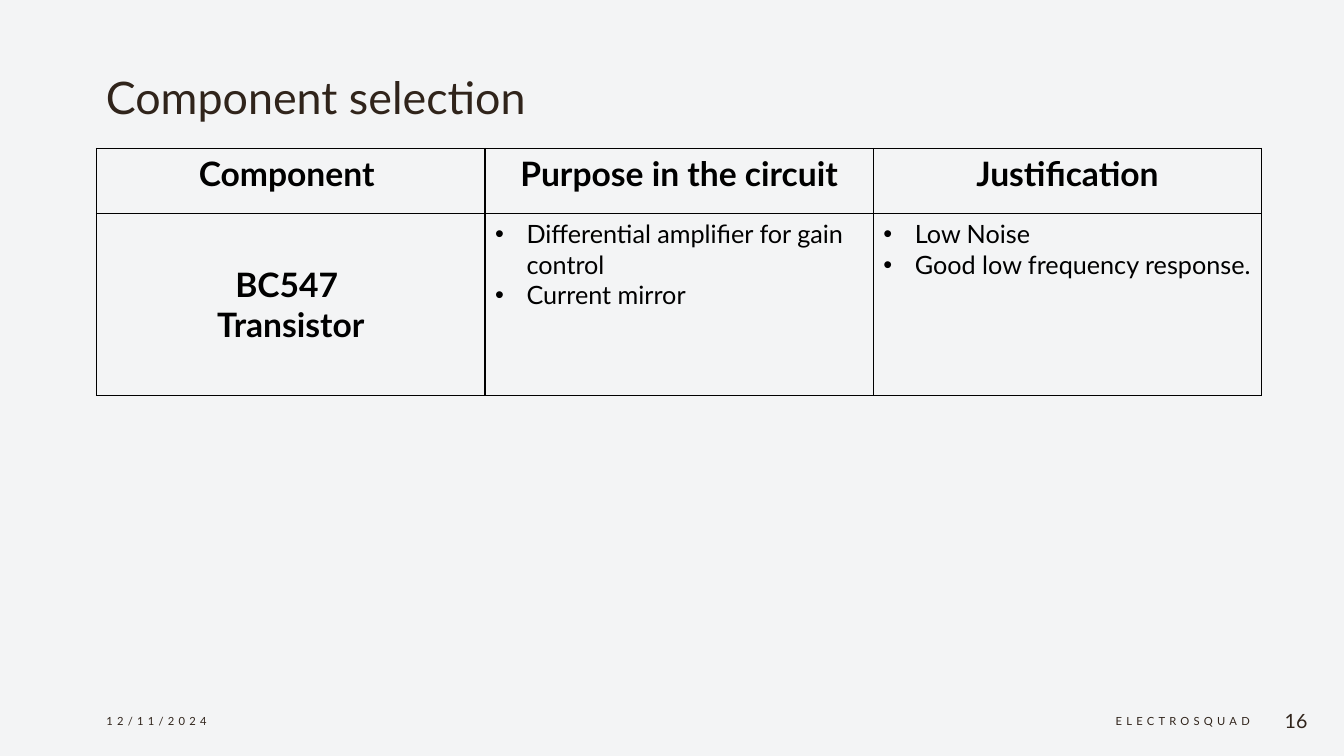
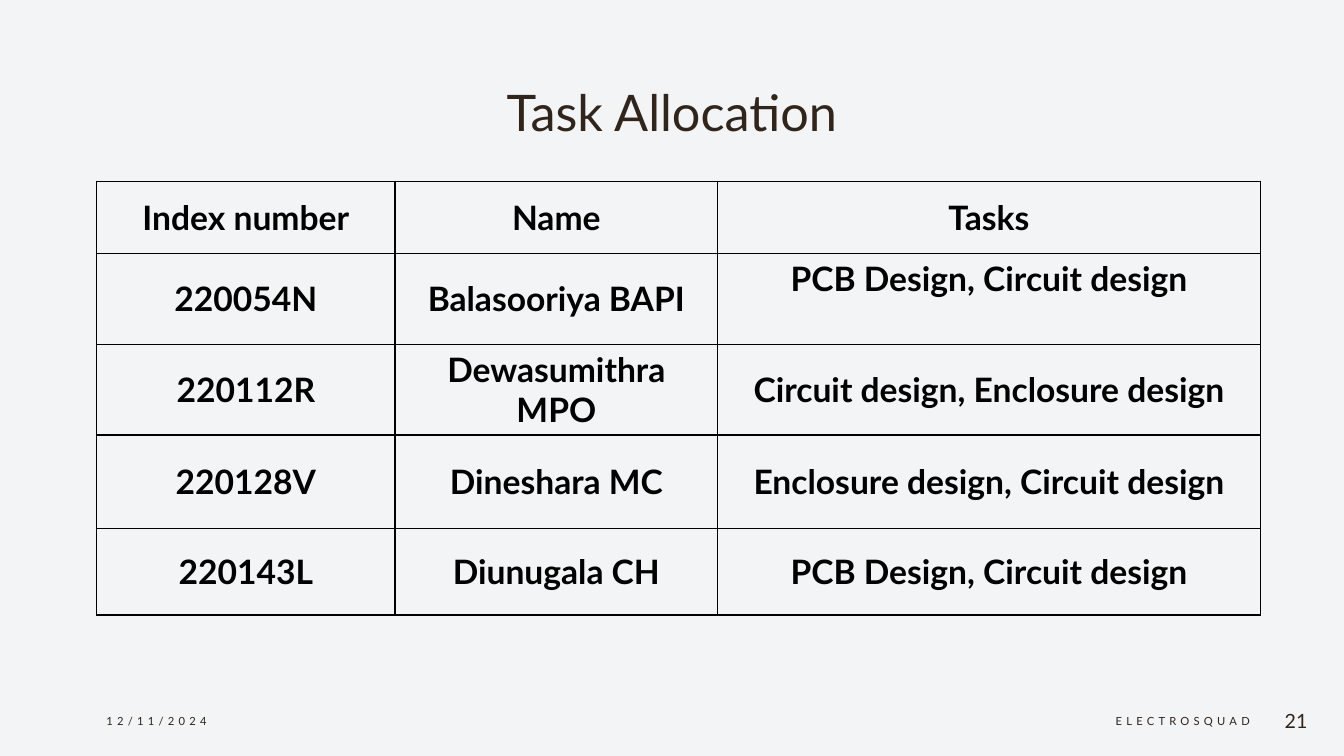
"""Build the component and task table slides."""
from dataclasses import dataclass
from lxml.etree import SubElement as Sub
from pptx import Presentation as Deck
from pptx.dml.color import RGBColor as Rgb
from pptx.enum.text import MSO_ANCHOR as Anchor, MSO_AUTO_SIZE as Fit, PP_ALIGN as Align
from pptx.oxml import parse_xml as to_xml
from pptx.oxml.ns import nsdecls, qn
from pptx.slide import Slide
from pptx.table import _Cell as Box
from pptx.text.text import TextFrame as Frame
from pptx.util import Pt

HUES = {"back": "F3F4F5", "brown": "30241B", "black": "000000"}
FONT = "Lato"
LEFT = 69


@dataclass
class Style:
    size: float
    hue: str = "brown"
    align: Align = Align.LEFT
    anchor: Anchor = Anchor.MIDDLE
    bold: bool = False
    gap: int = 0
    bullet: bool = False


@dataclass
class Label:
    text: str
    left: float
    width: float
    style: Style


@dataclass
class Item:
    text: str
    style: Style


@dataclass
class Page:
    title: str
    height: float
    style: Style
    number: str
    top: float
    cols: list[float]
    rows: list[float]
    cells: list[list[Item]]


HEAD = Style(24, "black", Align.CENTER, Anchor.TOP, True)
MID = Style(24, "black", Align.CENTER, bold=True)
LIST = Style(18, "black", anchor=Anchor.TOP, bullet=True)
FOOT = [
    Label("12/11/2024", LEFT, 216, Style(8, gap=300)),
    Label("ELECTROSQUAD", 561.6, 338.4, Style(8, align=Align.RIGHT, gap=300)),
]

TASKS = [
    ("Index number", "Name", "Tasks"),
    ("220054N", "Balasooriya BAPI", "PCB Design, Circuit design"),
    ("220112R", "Dewasumithra MPO", "Circuit design, Enclosure design"),
    ("220128V", "Dineshara MC", "Enclosure design, Circuit design"),
    ("220143L", "Diunugala CH", "PCB Design, Circuit design"),
]
GRID = [[Item(text, MID) for text in row] for row in TASKS]
GRID[1][2].style = HEAD

PAGES = [
    Page("Component selection", 48, Style(32, anchor=Anchor.TOP), "16", 106,
         [277.4] * 3, [46.8, 129.6], [
             [Item(text, HEAD) for text in
              ("Component ", "Purpose in the circuit", "Justification")],
             [Item("BC547 \nTransistor", MID),
              Item("Differential amplifier for gain control\nCurrent mirror", LIST),
              Item("Low Noise\nGood low frequency response.", LIST)],
         ]),
    Page("Task Allocation", 58.4, Style(36, align=Align.CENTER, anchor=Anchor.BOTTOM),
         "21", 129.5, [213.2, 230.4, 387.6], [51.4, 65, 64.4, 67, 61.6], GRID),
]


def write(frame: Frame, text: str, style: Style) -> None:
    """Fill a text frame and format its runs."""
    frame.text = text
    frame.word_wrap = True
    for para in frame.paragraphs:
        para.alignment = style.align
        if style.bullet:
            props = para._p.get_or_add_pPr()
            props.set("marL", str(Pt(22.5)))
            props.set("indent", str(-Pt(22.5)))
            Sub(props, qn("a:buFont")).set("typeface", "Arial")
            Sub(props, qn("a:buChar")).set("char", "•")
        for run in para.runs:
            font = run.font
            font.name, font.size, font.bold = FONT, Pt(style.size), style.bold
            font.color.rgb = Rgb.from_string(HUES[style.hue])
            if style.gap:
                run._r.get_or_add_rPr().set("spc", str(style.gap))


def edge(cell: Box) -> None:
    """Clear the fill of a cell and rule its four sides."""
    cell.fill.background()
    props = cell._tc.get_or_add_tcPr()
    for spot, side in enumerate("LRTB"):
        props.insert(spot, to_xml(
            f'<a:ln{side} {nsdecls("a")} w="{Pt(1)}"><a:solidFill>'
            f'<a:srgbClr val="{HUES["black"]}"/></a:solidFill></a:ln{side}>'))


def add_title(slide: Slide, page: Page) -> None:
    """Place and format the title."""
    shape = slide.shapes.title
    shape.left, shape.top = Pt(68.4), Pt(46)
    shape.width, shape.height = Pt(823), Pt(page.height)
    frame = shape.text_frame
    write(frame, page.title, page.style)
    frame.auto_size = Fit.NONE
    frame.vertical_anchor = page.style.anchor


def add_grid(slide: Slide, page: Page) -> None:
    """Draw the ruled table."""
    table = slide.shapes.add_table(
        len(page.rows), len(page.cols), Pt(LEFT), Pt(page.top),
        Pt(sum(page.cols)), Pt(sum(page.rows))).table
    table.first_row = table.horz_banding = False
    for col, width in zip(table.columns, page.cols):
        col.width = Pt(width)
    for row, height, items in zip(table.rows, page.rows, page.cells):
        row.height = Pt(height)
        for cell, item in zip(row.cells, items):
            write(cell.text_frame, item.text, item.style)
            cell.vertical_anchor = item.style.anchor
            edge(cell)


def add_foot(slide: Slide, number: str) -> None:
    """Draw the date, team and page number."""
    count = Label(number, 900, 41, Style(14, align=Align.RIGHT))
    for label in [*FOOT, count]:
        frame = slide.shapes.add_textbox(
            Pt(label.left), Pt(500.4), Pt(label.width), Pt(28.8)).text_frame
        write(frame, label.text, label.style)
        frame.vertical_anchor = label.style.anchor


def main() -> None:
    """Build and save the deck."""
    deck = Deck()
    deck.slide_width, deck.slide_height = Pt(960), Pt(540)
    fill = deck.slide_master.background.fill
    fill.solid()
    fill.fore_color.rgb = Rgb.from_string(HUES["back"])
    for page in PAGES:
        slide = deck.slides.add_slide(deck.slide_layouts[5])
        add_title(slide, page)
        add_grid(slide, page)
        add_foot(slide, page.number)
    deck.save("out.pptx")


if __name__ == "__main__":
    main()
